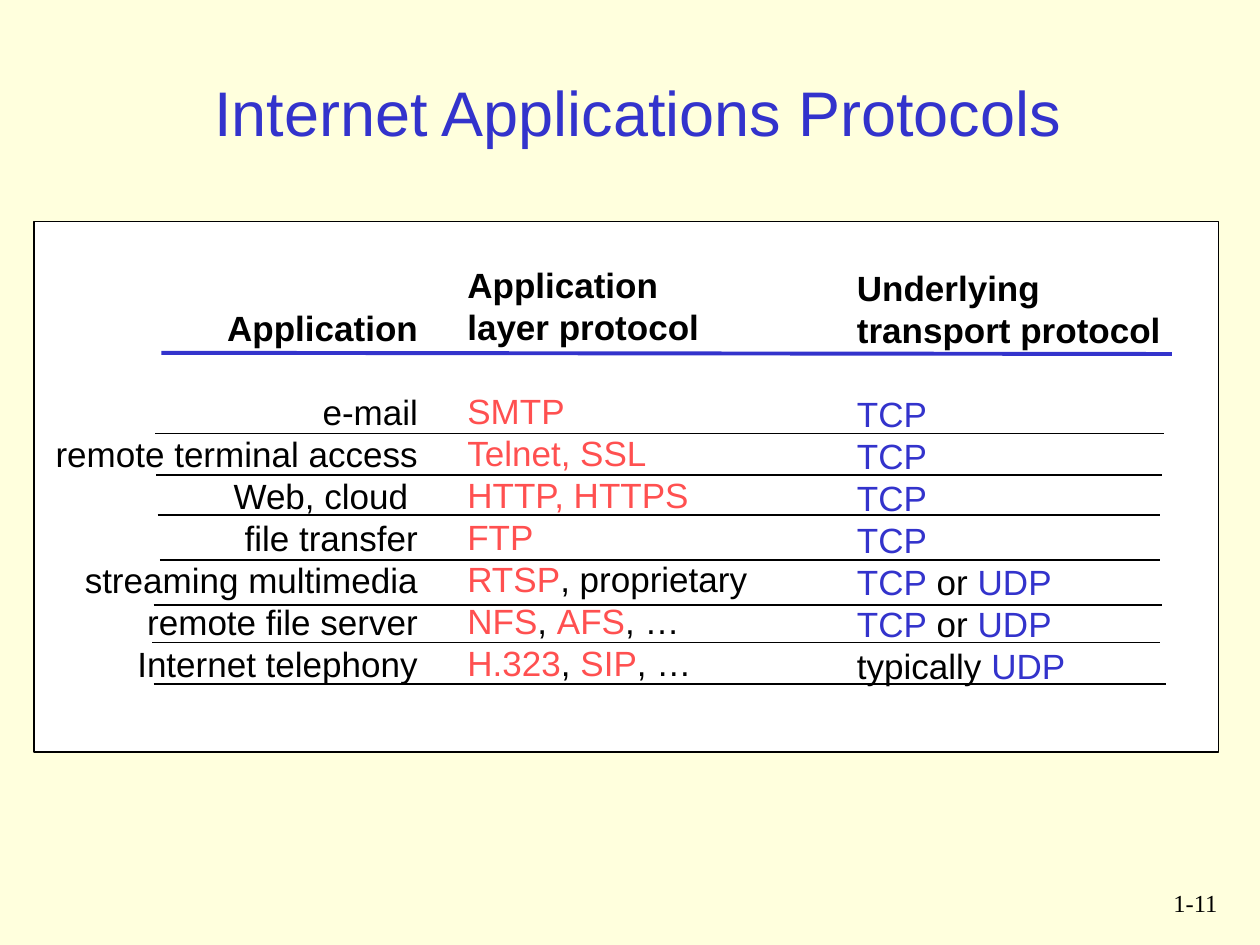
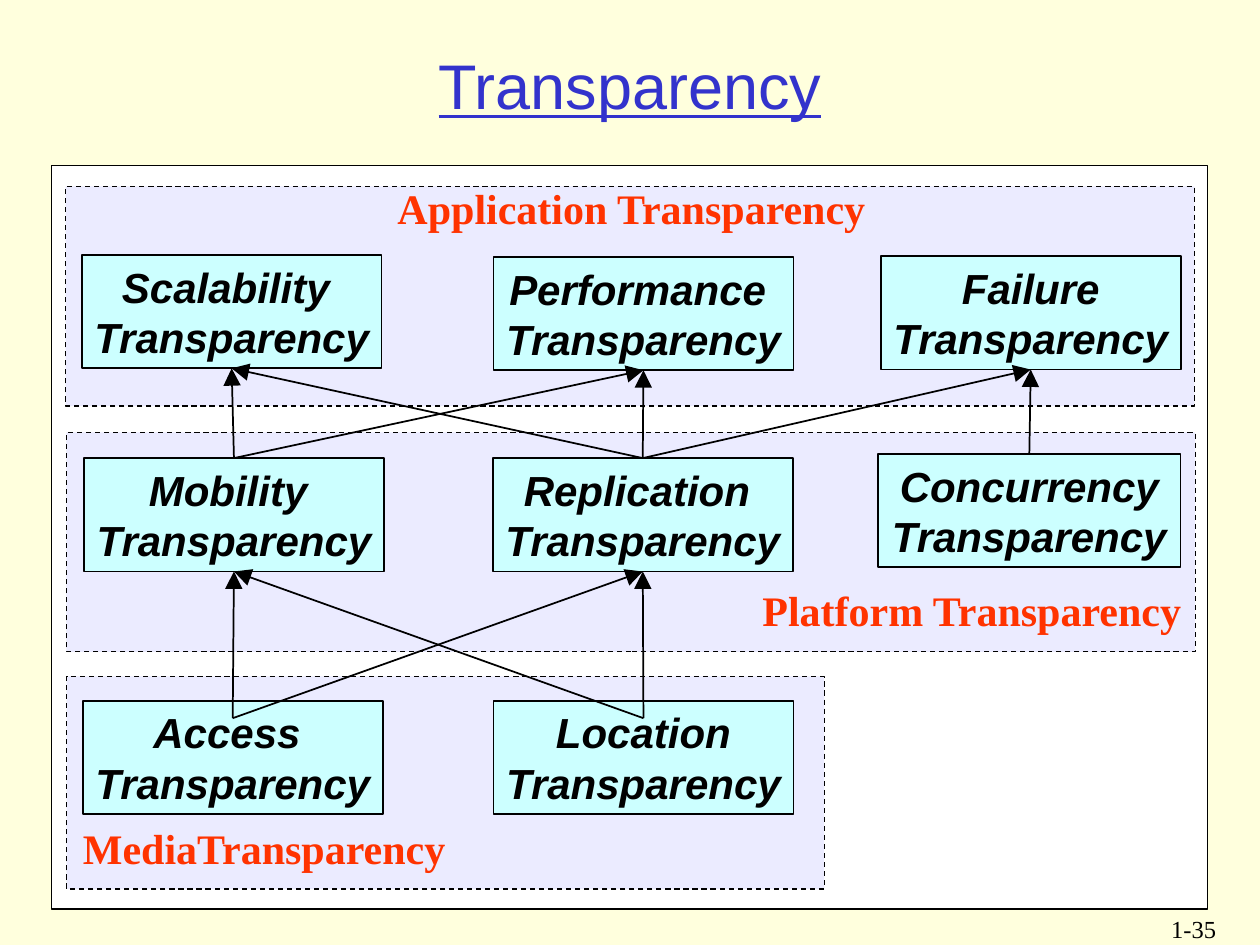
from lxml.etree import SubElement
from pptx import Presentation
from pptx.dml.color import RGBColor
from pptx.enum.dml import MSO_LINE
from pptx.enum.shapes import MSO_CONNECTOR, MSO_SHAPE
from pptx.enum.text import MSO_ANCHOR as Anchor, PP_ALIGN as Align
from pptx.oxml.ns import qn
from pptx.util import Pt

BLACK, WHITE, CREAM = "000000", "FFFFFF", "FFFFDD"
BLUE, CORAL, RED = "3333CC", "FF5050", "FF3300"
LAVENDER, AQUA = "EBEBFF", "CCFFFF"
SANS, SERIF = "Arial", "Times New Roman"
TOP, BOTTOM = 0, 2


def rgb(code):
    return RGBColor.from_string(code)


class Deck:
    def __init__(self):
        self.prs = Presentation()
        self.prs.slide_width, self.prs.slide_height = Pt(720), Pt(540)
        background = self.prs.slide_master.background.fill
        background.solid()
        background.fore_color.rgb = rgb(CREAM)

    def new_slide(self):
        self.slide = self.prs.slides.add_slide(self.prs.slide_layouts[6])

    def style(self, paragraph, size, color=BLACK, face=SANS, align=Align.LEFT,
              bold=False, italic=False, underline=False, leading=None):
        paragraph.alignment = align
        if leading:
            paragraph.line_spacing = Pt(leading)
        font = paragraph.font
        font.size, font.name = Pt(size), face
        font.bold, font.italic, font.underline = bold, italic, underline
        font.color.rgb = rgb(color)

    def frame(self, place, anchor=Anchor.TOP):
        frame = self.slide.shapes.add_textbox(*map(Pt, place)).text_frame
        frame.word_wrap, frame.vertical_anchor = True, anchor
        return frame

    def label(self, text, place, size=24, anchor=Anchor.TOP, **style):
        paragraph = self.frame(place, anchor).paragraphs[0]
        paragraph.text = text
        self.style(paragraph, size, **style)

    def title(self, text, place, underline=False):
        self.label(text, place, 36, Anchor.MIDDLE, color=BLUE,
                   align=Align.CENTER, underline=underline)

    def page_number(self, text, left, top):
        self.label(text, (left, top, 49, 36), 14, face=SERIF, align=Align.RIGHT)

    def panel(self, place, fill=WHITE, weight=0.75, dashed=False):
        panel = self.slide.shapes.add_shape(MSO_SHAPE.RECTANGLE, *map(Pt, place))
        panel.shadow.inherit = False
        panel.fill.solid()
        panel.fill.fore_color.rgb = rgb(fill)
        panel.line.color.rgb = rgb(BLACK)
        panel.line.width = Pt(weight)
        if dashed:
            panel.line.dash_style = MSO_LINE.DASH
        return panel

    def box(self, lines, left, top, width=171.4):
        box = self.panel((left, top, width, 64.8), AQUA, 1)
        frame = box.text_frame
        frame.word_wrap, frame.vertical_anchor = False, Anchor.MIDDLE
        for index, line in enumerate(lines):
            paragraph = frame.add_paragraph() if index else frame.paragraphs[0]
            paragraph.text = line
            self.style(paragraph, 24, align=Align.CENTER, bold=True,
                       italic=True, leading=28.8)
        return box

    def column(self, place, headings, entries, accent, align=Align.LEFT):
        frame = self.frame(place)
        for index, text in enumerate(headings + entries):
            paragraph = frame.add_paragraph() if index else frame.paragraphs[0]
            heading = index < len(headings)
            if index == len(headings):
                paragraph.space_before = Pt(24)
            pieces = [(piece, BLACK if heading or turn % 2 else accent)
                      for turn, piece in enumerate(text.split("|")) if piece]
            self.style(paragraph, 20, pieces[0][1], align=align,
                       bold=heading, leading=24)
            for piece, color in pieces:
                run = paragraph.add_run()
                run.text = piece
                if len(pieces) > 1:
                    run.font.color.rgb = rgb(color)

    def line(self, x1, y1, x2, y2, color=BLACK, weight=1):
        line = self.slide.shapes.add_connector(
            MSO_CONNECTOR.STRAIGHT, Pt(x1), Pt(y1), Pt(x2), Pt(y2))
        line.line.color.rgb = rgb(color)
        line.line.width = Pt(weight)
        SubElement(line._element.spPr, qn("a:effectLst"))
        return line

    def arrow(self, source, target, start_y=None):
        start_x = (source.left + source.width / 2) / Pt(1)
        arrow = self.line(start_x, start_y or 0, 0, 0)
        if start_y is None:
            arrow.begin_connect(source, TOP)
        arrow.end_connect(target, BOTTOM)
        SubElement(arrow._element.spPr.find(qn("a:ln")), qn("a:tailEnd"),
                   type="triangle", w="lg", len="lg")


def protocols_slide(deck):
    deck.new_slide()
    deck.page_number("1-11", 653.75, 504)
    deck.panel((19.5, 126.75, 677, 303))
    deck.title("Internet Applications Protocols", (28, 24, 673, 79))
    deck.column((14, 171.4, 232, 247.7), ["Application"],
                ["e-mail", "remote terminal access", "Web, cloud ", "file transfer",
                 "streaming multimedia", "remote file server", "Internet telephony"],
                BLACK, Align.RIGHT)
    deck.column((260, 146.9, 278.6, 247.7), ["Application", "layer protocol"],
                ["SMTP", "Telnet, SSL", "HTTP, HTTPS", "FTP", "RTSP|, proprietary",
                 "NFS|, |AFS|, …", "H.323|, |SIP|, …"], CORAL)
    deck.column((482.6, 148.6, 206.6, 247.7), ["Underlying", "transport protocol"],
                ["TCP"] * 4 + ["TCP| or |UDP"] * 2 + ["|typically |UDP"], BLUE)
    deck.line(92.2, 201.6, 669.6, 202.3, BLUE, 2.25)
    for left, right, y in [(88.6, 665.3, 247.7), (89.3, 663.8, 271.4),
                           (90, 663, 294.5), (91.4, 663, 320.2),
                           (87.8, 663.8, 345.6), (87, 663, 367.2),
                           (87.8, 666, 391)]:
        deck.line(left, y, right, y)


def transparency_slide(deck):
    deck.new_slide()
    deck.panel((29.5, 94.5, 660.5, 425))
    for layer in [(37.5, 106.5, 645, 125.5), (38, 247, 645, 125.5),
                  (38, 386.5, 433, 121.5)]:
        deck.panel(layer, LAVENDER, dashed=True)
    deck.page_number("1-35", 653, 519)

    suffix = "Transparency"
    access = deck.box(["Access ", suffix], 47.3, 400.4)
    location = deck.box(["Location", suffix], 282, 400.4)
    concurrency = deck.box(["Concurrency", suffix], 501.8, 259.4, 172.8)
    mobility = deck.box(["Mobility ", suffix], 48, 261.8)
    replication = deck.box(["Replication ", suffix], 281.6, 261.8)
    scalability = deck.box(["Scalability ", suffix], 46.7, 145.7)
    performance = deck.box(["Performance ", suffix], 282, 146.8)
    failure = deck.box(["Failure", suffix], 503.3, 146.4)

    for source in (access, location):
        for target in (mobility, replication):
            deck.arrow(source, target, start_y=410.4)
    for source, targets in [(mobility, (scalability, performance)),
                            (replication, (scalability, performance, failure)),
                            (concurrency, (failure,))]:
        for target in targets:
            deck.arrow(source, target)

    deck.title("Transparency", (0, 0, 720, 96.5), underline=True)
    for text, place, align in [
            ("MediaTransparency", (40.3, 466.6, 430, 36), Align.LEFT),
            ("Platform Transparency", (370, 330.5, 312, 36), Align.RIGHT),
            ("Application Transparency", (40.3, 100.8, 641, 36), Align.CENTER)]:
        deck.label(text, place, color=RED, face=SERIF, align=align, bold=True)


def main():
    deck = Deck()
    protocols_slide(deck)
    transparency_slide(deck)
    deck.prs.save("out.pptx")


if __name__ == "__main__":
    main()
